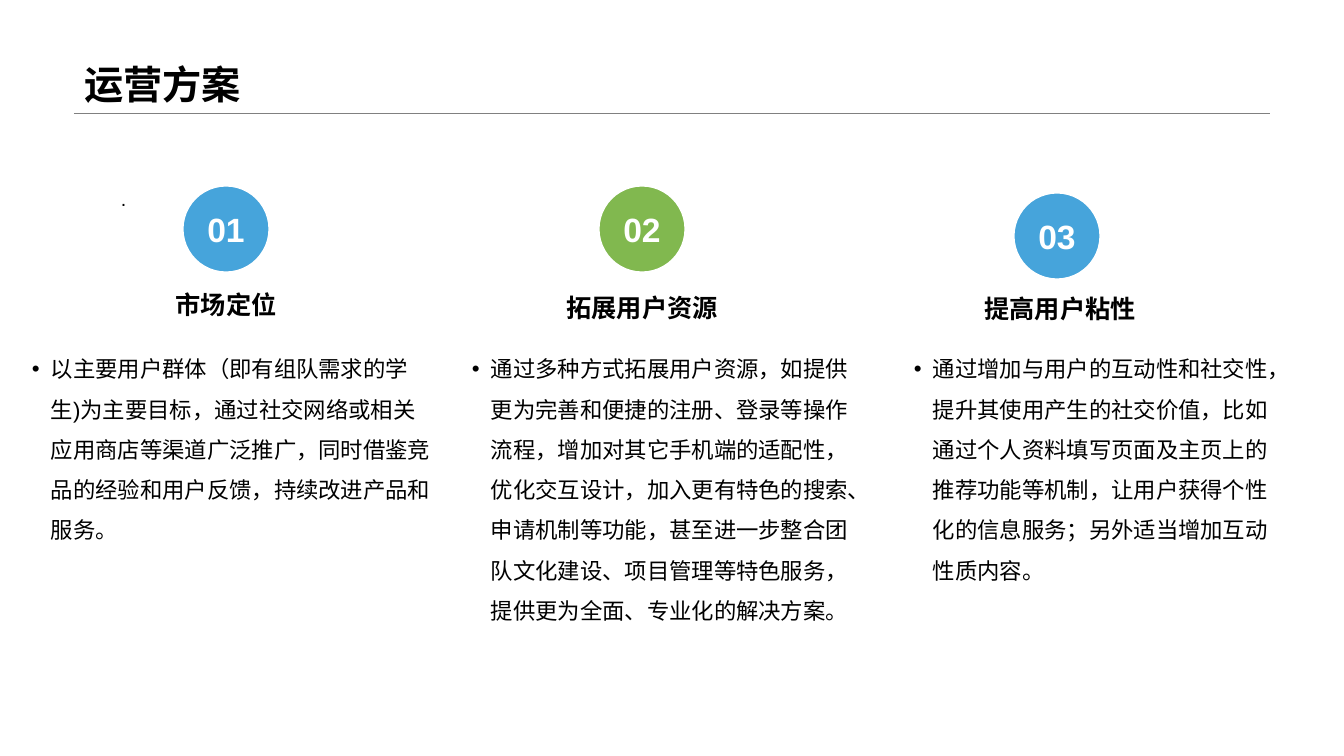
from dataclasses import dataclass

from pptx import Presentation
from pptx.dml.color import RGBColor
from pptx.enum.shapes import MSO_CONNECTOR, MSO_SHAPE
from pptx.enum.text import MSO_ANCHOR, PP_ALIGN
from pptx.oxml.ns import qn
from pptx.util import Pt
from lxml import etree

LEFT, CENTER = PP_ALIGN.LEFT, PP_ALIGN.CENTER
TOP, MIDDLE, BOTTOM = MSO_ANCHOR.TOP, MSO_ANCHOR.MIDDLE, MSO_ANCHOR.BOTTOM
OVAL, STRAIGHT = MSO_SHAPE.OVAL, MSO_CONNECTOR.STRAIGHT
SCALE = 914400 / 100.8


@dataclass(frozen=True)
class Theme:
    """Hold the font, colours and type sizes."""
    font: str = "Arial"
    ink: RGBColor = RGBColor(0, 0, 0)
    white: RGBColor = RGBColor(255, 255, 255)
    rule: RGBColor = RGBColor(128, 128, 128)
    blue: RGBColor = RGBColor(0x46, 0xA4, 0xDB)
    green: RGBColor = RGBColor(0x81, 0xB8, 0x4F)
    title: int = 28
    number: int = 24
    head: int = 18
    body: int = 16
    dot: int = 14


THEME = Theme()


def px(*vals):
    """Turn pixels into EMU."""
    return [round(val * SCALE) for val in vals]


def write(shape, text, size, color=THEME.ink, bold=False, align=LEFT,
          anchor=TOP, space=1.0, margin=0, bullet=False, wrap=True):
    """Put one formatted paragraph into a shape."""
    frame = shape.text_frame
    frame.word_wrap = wrap
    frame.vertical_anchor = anchor
    frame.text = text
    para = frame.paragraphs[0]
    para.alignment, para.line_spacing = align, space
    font = para.runs[0].font
    font.name, font.size, font.bold = THEME.font, Pt(size), bold
    font.color.rgb = color
    props = para._p.get_or_add_pPr()
    indent = px(margin)[0]
    props.set("marL", str(indent))
    if bullet:
        props.set("indent", str(-indent))
        etree.SubElement(props, qn("a:buFont")).set("typeface", THEME.font)
        etree.SubElement(props, qn("a:buChar")).set("char", "•")


deck = Presentation()
deck.slide_width, deck.slide_height = px(1344, 756)
slide = deck.slides.add_slide(deck.slide_layouts[5])
shapes = slide.shapes

rule = shapes.add_connector(STRAIGHT, *px(74, 113, 1270, 113))
rule.line.color.rgb = THEME.rule
rule.line.width = Pt(0.25)
etree.SubElement(rule._element.spPr, qn("a:effectLst"))

title = shapes.title
title.left, title.top, title.width, title.height = px(74, 0, 1196, 113)
write(title, "运营方案", THEME.title, bold=True, anchor=BOTTOM, space=0.9)

dot = shapes.add_textbox(*px(111, 170, 382, 196))
write(dot, ".", THEME.dot, space=1.5)

# Each plan: colour, disc left and top, heading left and top, body left, width and height
plans = [
    (THEME.blue, 182, 185, 6, 279, 22, 422, 339, "市场定位",
     "以主要用户群体（即有组队需求的学生)为主要目标，通过社交网络或相关"
     "应用商店等渠道广泛推广，同时借鉴竞品的经验和用户反馈，持续改进产品和服务。"),
    (THEME.green, 598, 185, 422, 282, 462, 409, 339, "拓展用户资源",
     "通过多种方式拓展用户资源，如提供更为完善和便捷的注册、登录等操作流程，"
     "增加对其它手机端的适配性，优化交互设计，加入更有特色的搜索、申请机制等功能，"
     "甚至进一步整合团队文化建设、项目管理等特色服务，提供更为全面、专业化的解决方案。"),
    (THEME.blue, 1013, 192, 840, 283, 904, 380, 280, "提高用户粘性",
     "通过增加与用户的互动性和社交性，提升其使用产生的社交价值，比如通过个人资料"
     "填写页面及主页上的推荐功能等机制，让用户获得个性化的信息服务；"
     "另外适当增加互动性质内容。"),
]

for num, plan in enumerate(plans, 1):
    color, disc_x, disc_y, head_x, head_y, body_x, wide, high, name, text = plan
    disc = shapes.add_shape(OVAL, *px(disc_x, disc_y, 88, 88))
    disc.shadow.inherit = False
    disc.fill.solid()
    disc.fill.fore_color.rgb = color
    disc.line.color.rgb = THEME.white
    disc.line.width = Pt(2.25)
    write(disc, f"{num:02}", THEME.number, THEME.white, bold=True,
          align=CENTER, anchor=MIDDLE, wrap=False)
    head = shapes.add_textbox(*px(head_x, head_y, 340, 46))
    write(head, name, THEME.head, bold=True, align=CENTER, anchor=BOTTOM,
          margin=100)
    body = shapes.add_textbox(*px(body_x, 337, wide, high))
    write(body, text, THEME.body, space=1.5, margin=19, bullet=True)

deck.save("out.pptx")
